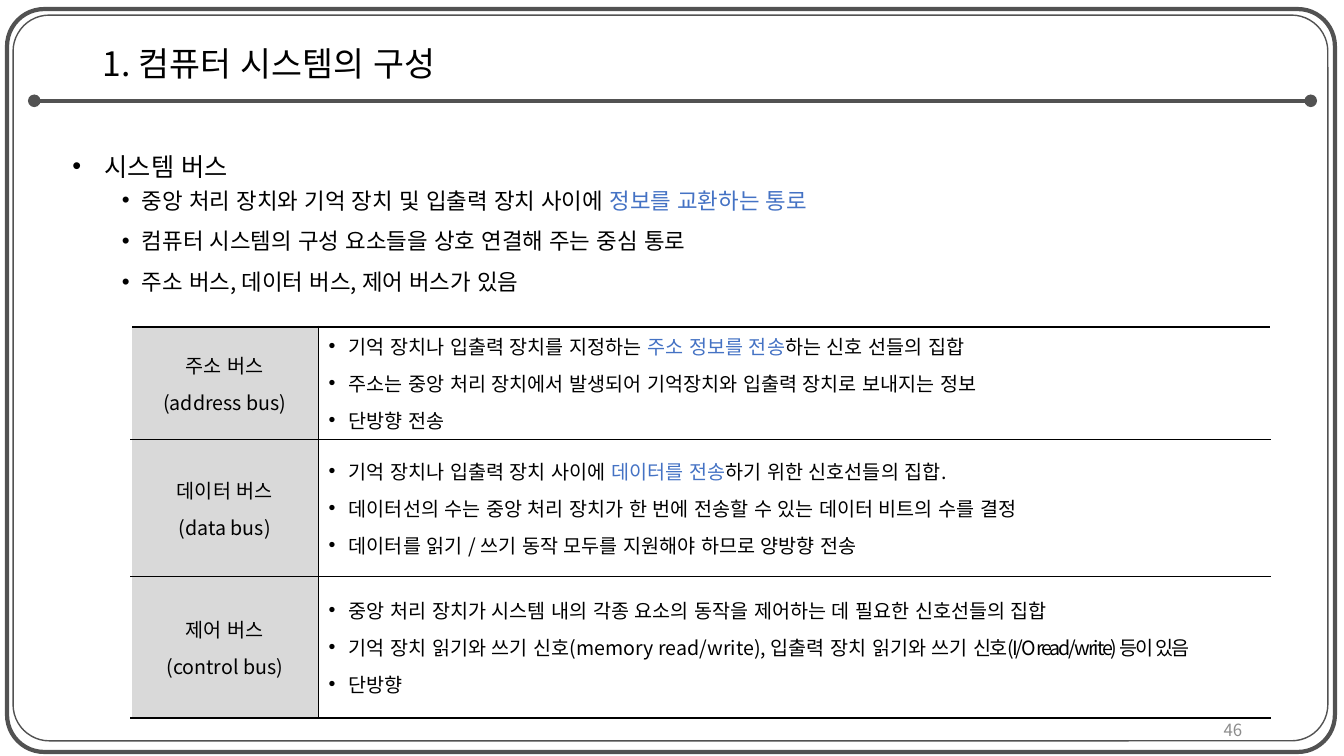
"""Build the slide on the system bus and its three kinds of bus."""
from lxml import etree
from pptx import Presentation, util as u
from pptx.dml.color import RGBColor
from pptx.enum import shapes as sh, text as tx
from pptx.oxml.ns import qn

TITLE = "1. 컴퓨터 시스템의 구성"
PAGE = "46"
HEAD = "시스템 버스"
POINTS = [
    [("중앙 처리 장치와 기억 장치 및 입출력 장치 사이에 ", {}),
     ("정보를 교환하는 통로", {"color": "key"})],
    [("컴퓨터 시스템의 구성 요소들을 상호 연결해 주는 중심 통로", {})],
    [("주소 버스, 데이터 버스, 제어 버스가 있음", {})],
]
BUSES = [
    (["주소 버스", "(address bus)"], [
        [("기억 장치나 입출력 장치를 지정하는 ", {}),
         ("주소 정보를 전송", {"color": "key"}),
         ("하는 신호 선들의 집합", {})],
        [("주소는 중앙 처리 장치에서 발생되어 기억장치와 입출력 장치로 보내지는 정보", {})],
        [("단방향 전송", {})],
    ]),
    (["데이터 버스", "(data bus)"], [
        [("기억 장치나 입출력 장치 사이에 ", {}),
         ("데이터를 전송", {"color": "key"}),
         ("하기 위한 신호선들의 집합.", {})],
        [("데이터선의 수는 중앙 처리 장치가 한 번에 전송할 수 있는 데이터 비트의 수를 결정", {})],
        [("데이터를 읽기 / 쓰기 동작 모두를 지원해야 하므로 양방향 전송", {})],
    ]),
    (["제어 버스", "(control bus)"], [
        [("중앙 처리 장치가 시스템 내의 각종 요소의 동작을 제어하는 데 필요한 신호선들의 집합", {})],
        [("기억 장치 읽기와 쓰기 신호(memory read/write), 입출력 장치 읽기와 쓰기 ", {}),
         ("신호(I/O read/write) 등이 있음", {"tight": -150})],
        [("단방향", {})],
    ]),
]
COLS = [1.86, 9.44]
ROWS = [1.12, 1.36, 1.4]
FRAMES = [((0.13, 0.15, 13.04, 7.2), 1), ((0.07, 0.09, 13.17, 7.37), 3)]

THEME = {
    "font": "Noto Sans CJK KR",
    "color": {"ink": "000000", "key": "4472C4", "frame": "525252",
              "label": "D9D9D9", "page": "8C8C8C", "edge": "FFFFFF"},
    "size": {"title": 24, "head": 18, "point": 16, "cell": 14, "page": 12},
}
MID = {"vertical_anchor": tx.MSO_ANCHOR.MIDDLE}
AFTER = {"space_after": u.Pt(6)}


def tint(name):
    return RGBColor.from_string(THEME["color"][name])


def apply(obj, vals):
    for key, val in vals.items():
        setattr(obj, key, val)


def bullet(para, left, hang):
    props = para._p.get_or_add_pPr()
    props.set("marL", str(u.Inches(left)))
    props.set("indent", str(-u.Inches(hang)))
    etree.SubElement(props, qn("a:buFont")).set("typeface", "Arial")
    etree.SubElement(props, qn("a:buChar")).set("char", "•")


def write(para, runs, size, vals, mark=None, color="ink"):
    if mark:
        bullet(para, *mark)
    apply(para, vals)
    for words, look in runs:
        run = para.add_run()
        run.text = words
        apply(run.font, {"name": THEME["font"], "size": u.Pt(THEME["size"][size])})
        run.font.color.rgb = tint(look.get("color", color))
        props = run._r.get_or_add_rPr()
        props.set("lang", "ko-KR")
        etree.SubElement(props, qn("a:ea")).set("typeface", THEME["font"])
        if "tight" in look:
            props.set("spc", str(look["tight"]))


def fill_text(frame, lines, size, vals, mark=None):
    for i, runs in enumerate(lines):
        para = frame.paragraphs[0] if i == 0 else frame.add_paragraph()
        write(para, runs, size, vals, mark)


def box(slide, area, vals):
    frame = slide.shapes.add_textbox(*map(u.Inches, area)).text_frame
    apply(frame, {"word_wrap": True, **vals})
    return frame


def stroke(line, width):
    line.color.rgb = tint("frame")
    line.width = u.Pt(width)


def draw_frame(slide):
    for area, width in FRAMES:
        rim = slide.shapes.add_shape(sh.MSO_SHAPE.ROUNDED_RECTANGLE,
                                     *map(u.Inches, area))
        rim.adjustments[0] = 0.05
        rim.shadow.inherit = False
        rim.fill.background()
        stroke(rim.line, width)
    rule = slide.shapes.add_connector(sh.MSO_CONNECTOR.STRAIGHT,
                                      *map(u.Inches, (0.34, 1, 13, 1)))
    stroke(rule.line, 3)
    for end in ("headEnd", "tailEnd"):
        etree.SubElement(rule.line._ln, qn("a:" + end)).set("type", "oval")
    etree.SubElement(rule._element.spPr, qn("a:effectLst"))


def border(cell, sides):
    props = cell._tc.get_or_add_tcPr()
    for i, (side, (color, width)) in enumerate(sides.items()):
        line = etree.Element(qn("a:ln" + side), w=str(u.Pt(width)))
        solid = etree.SubElement(line, qn("a:solidFill"))
        etree.SubElement(solid, qn("a:srgbClr")).set("val", THEME["color"][color])
        props.insert(i, line)


def draw_table(slide):
    area = map(u.Inches, (1.3, 3.24, sum(COLS), sum(ROWS)))
    table = slide.shapes.add_table(len(ROWS), len(COLS), *area).table
    apply(table, {"first_row": False, "horz_banding": False})
    for col, width in zip(table.columns, COLS):
        col.width = u.Inches(width)
    last = len(ROWS) - 1
    for r, (names, facts) in enumerate(BUSES):
        table.rows[r].height = u.Inches(ROWS[r])
        label, body = table.cell(r, 0), table.cell(r, 1)
        label.fill.solid()
        label.fill.fore_color.rgb = tint("label")
        body.fill.background()
        fill_text(label.text_frame, [[(name, {})] for name in names], "cell",
                  {"alignment": tx.PP_ALIGN.CENTER, **AFTER})
        fill_text(body.text_frame, facts, "cell", AFTER, (0.2, 0.2))
        top = ("ink", 1.5 if r == 0 else 1)
        base = ("ink", 1.5 if r == last else 1)
        for cell, left, right in ((label, "edge", "ink"), (body, "ink", "edge")):
            apply(cell, MID)
            border(cell, {"L": (left, 1), "R": (right, 1), "T": top, "B": base})


def main():
    deck = Presentation()
    apply(deck, {"slide_width": u.Inches(13.33), "slide_height": u.Inches(7.5)})
    slide = deck.slides.add_slide(deck.slide_layouts[6])
    draw_frame(slide)
    title = box(slide, (0.92, 0.3, 11.5, 0.7), MID)
    write(title.paragraphs[0], [(TITLE, {})], "title", {"line_spacing": 0.9})
    body = box(slide, (0.61, 1.3, 12.11, 1.8), {"margin_top": u.Inches(0.05)})
    write(body.paragraphs[0], [(HEAD, {})], "head", {"line_spacing": 1.5},
          (0.33, 0.32))
    for runs in POINTS:
        write(body.add_paragraph(), runs, "point",
              {"level": 1, "line_spacing": 1.2, **AFTER}, (0.7, 0.2))
    draw_table(slide)
    page = box(slide, (9.42, 7.04, 3, 0.4), MID)
    write(page.paragraphs[0], [(PAGE, {})], "page",
          {"alignment": tx.PP_ALIGN.RIGHT}, color="page")
    deck.save("out.pptx")


if __name__ == "__main__":
    main()
